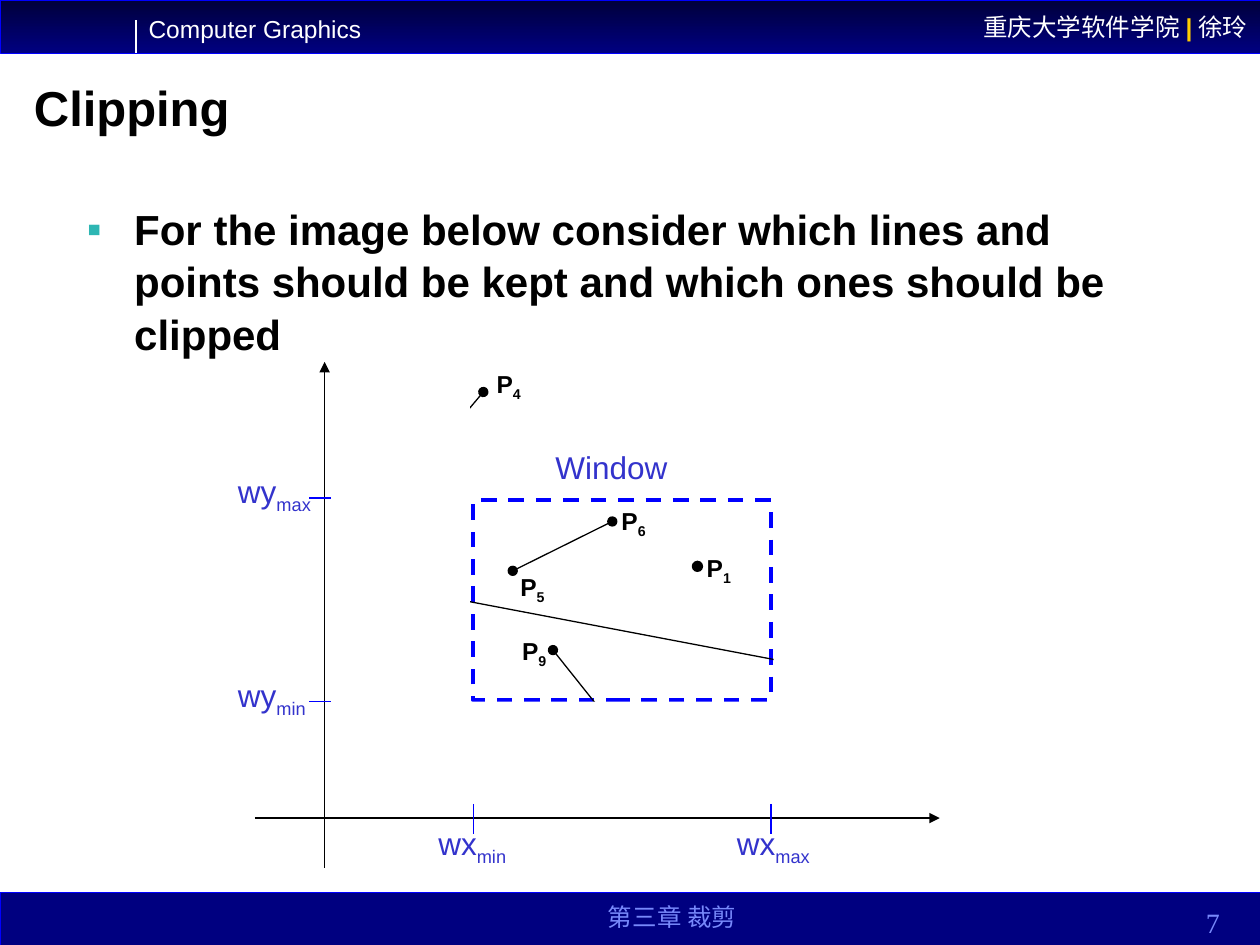
from dataclasses import dataclass
from typing import Any, NamedTuple, Optional

from lxml.etree import SubElement
from pptx import Presentation
from pptx.dml.color import RGBColor
from pptx.enum.dml import MSO_LINE as Dash
from pptx.enum.shapes import MSO_CONNECTOR as Connector, MSO_SHAPE as Preset
from pptx.enum.text import MSO_ANCHOR as Anchor, MSO_AUTO_SIZE as AutoSize, PP_ALIGN as Align
from pptx.oxml.ns import qn
from pptx.util import Pt


@dataclass(frozen=True)
class Theme:
    black: str = "000000"
    white: str = "FFFFFF"
    blue: str = "0000FF"
    navy: str = "000080"
    midnight: str = "00003B"
    gold: str = "FFCC00"
    label: str = "3333CC"
    footer: str = "7889FB"
    bullet: str = "2DB6B3"
    sans: str = "Arial"
    serif: str = "Times New Roman"
    title_size: float = 28
    body_size: float = 24
    label_size: float = 18
    number_size: float = 16
    small_size: float = 14
    thin: float = 0.75


THEME = Theme()


class Box(NamedTuple):
    left: float
    top: float
    width: float
    height: float


class Segment(NamedTuple):
    start: tuple[float, float]
    end: tuple[float, float]
    color: str = THEME.black
    head: Optional[str] = None
    tail: Optional[str] = None


class TextRun(NamedTuple):
    text: str
    size: float
    color: str
    bold: bool = False
    subscript: bool = False
    font: str = THEME.sans


class Label(NamedTuple):
    box: Box
    runs: list[TextRun]
    frame_format: dict[str, Any] = {"word_wrap": False}
    align: Align = Align.LEFT


def apply_format(target: Any, values: dict[str, Any]) -> None:
    for name, value in values.items():
        setattr(target, name, value)


def place(shape: Any, box: Box) -> None:
    apply_format(shape, {name: Pt(value) for name, value in box._asdict().items()})


def write_runs(paragraph: Any, runs: list[TextRun]) -> None:
    for item in runs:
        run = paragraph.add_run()
        run.text = item.text
        apply_format(run.font, {"name": item.font, "size": Pt(item.size), "bold": item.bold})
        run.font.color.rgb = RGBColor.from_string(item.color)
        if item.subscript:
            run._r.get_or_add_rPr().set("baseline", "-25000")


def draw_label(slide: Any, label: Label) -> None:
    shape = slide.shapes.add_textbox(*map(Pt, label.box))
    apply_format(shape.text_frame, label.frame_format)
    paragraph = shape.text_frame.paragraphs[0]
    paragraph.alignment = label.align
    write_runs(paragraph, label.runs)


def draw_shape(slide: Any, box: Box, fill: Optional[str] = None, line: Optional[str] = None,
               width: float = 0.25, preset: Preset = Preset.RECTANGLE) -> Any:
    shape = slide.shapes.add_shape(preset, *map(Pt, box))
    shape.shadow.inherit = False
    if fill:
        shape.fill.solid()
        shape.fill.fore_color.rgb = RGBColor.from_string(fill)
    else:
        shape.fill.background()
    if line:
        shape.line.color.rgb = RGBColor.from_string(line)
        shape.line.width = Pt(width)
    else:
        shape.line.fill.background()
    return shape


def draw_segment(slide: Any, segment: Segment) -> None:
    connector = slide.shapes.add_connector(
        Connector.STRAIGHT, *map(Pt, segment.start + segment.end))
    connector.line.color.rgb = RGBColor.from_string(segment.color)
    connector.line.width = Pt(THEME.thin)
    properties = connector._element.spPr
    outline = properties.find(qn("a:ln"))
    for tag, kind in (("a:headEnd", segment.head), ("a:tailEnd", segment.tail)):
        if kind:
            SubElement(outline, qn(tag), type=kind)
    SubElement(properties, qn("a:effectLst"))


def draw_banners(slide: Any) -> None:
    header = draw_shape(slide, Box(0, 0, 720, 30.24), THEME.navy, THEME.blue)
    header.fill.gradient()
    header.fill.gradient_angle = 270
    for stop, color in zip(header.fill.gradient_stops, (THEME.midnight, THEME.navy)):
        stop.color.rgb = RGBColor.from_string(color)
    header.text_frame.vertical_anchor = Anchor.MIDDLE
    paragraph = header.text_frame.paragraphs[0]
    paragraph.alignment = Align.RIGHT
    write_runs(paragraph, [
        TextRun("重庆大学软件学院", THEME.small_size, THEME.white),
        TextRun("|", THEME.small_size, THEME.gold, bold=True),
        TextRun("徐玲", THEME.small_size, THEME.white)])
    draw_shape(slide, Box(0, 509.76, 720, 30.24), THEME.navy, THEME.blue)
    draw_label(slide, Label(Box(77.8, 4.3, 136, 24.5),
                            [TextRun("Computer Graphics", THEME.small_size, THEME.white)]))
    draw_segment(slide, Segment((77.8, 11.5), (77.8, 30.24), THEME.white))
    bottom = {"word_wrap": True, "vertical_anchor": Anchor.BOTTOM}
    draw_label(slide, Label(
        Box(270, 508.3, 228.2, 27.4),
        [TextRun("第三章 裁剪", THEME.small_size, THEME.footer, font=THEME.serif)],
        bottom, Align.CENTER))
    draw_label(slide, Label(
        Box(632.2, 512.6, 72, 27.4),
        [TextRun("7", THEME.number_size, THEME.footer, font=THEME.serif)],
        bottom, Align.RIGHT))


def fill_placeholders(slide: Any) -> None:
    title, body = slide.placeholders
    place(title, Box(12.2, 43.2, 649.4, 38.9))
    place(body, Box(42.5, 111.6, 640.8, 100))
    for shape, anchor, spacing in ((title, Anchor.BOTTOM, 0.9), (body, Anchor.TOP, 1.04)):
        apply_format(shape.text_frame, {"word_wrap": True, "auto_size": AutoSize.NONE,
                                        "vertical_anchor": anchor})
        apply_format(shape.text_frame.paragraphs[0],
                     {"alignment": Align.LEFT, "line_spacing": spacing, "space_before": Pt(0)})
    write_runs(title.text_frame.paragraphs[0],
               [TextRun("Clipping", THEME.title_size, THEME.black, bold=True)])
    paragraph = body.text_frame.paragraphs[0]
    properties = paragraph._p.get_or_add_pPr()
    apply_format(properties, {"marL": Pt(34.3), "indent": Pt(-25.5)})
    color = SubElement(properties, qn("a:buClr"))
    SubElement(color, qn("a:srgbClr"), val=THEME.bullet)
    SubElement(properties, qn("a:buFont"), typeface=THEME.sans)
    SubElement(properties, qn("a:buChar"), char="▪")
    write_runs(paragraph, [TextRun(
        "For the image below consider which lines and points should be kept "
        "and which ones should be clipped", THEME.body_size, THEME.black, bold=True)])


def draw_diagram(slide: Any) -> None:
    for start, end in (((145.7, 467.5), (537, 467.5)), ((185.5, 496), (185.5, 206.8))):
        draw_segment(slide, Segment(start, end, tail="triangle"))
    window = draw_shape(slide, Box(270.2, 286, 170.4, 114), line=THEME.blue, width=2.25)
    window.line.dash_style = Dash.DASH
    for y in (284.6, 401):
        draw_segment(slide, Segment((189, y), (176.4, y), THEME.blue))
    for x in (270.6, 440.6):
        draw_segment(slide, Segment((x, 459.4), (x, 476.6), THEME.blue))

    for axis, limit, left, top in (("wy", "max", 128.9, 266.4), ("wy", "min", 128.9, 383),
                                   ("wx", "min", 243.4, 467.3), ("wx", "max", 414, 467.3)):
        width = 56.2 if limit == "max" else 53.3
        draw_label(slide, Label(Box(left, top, width, 31.7), [
            TextRun(axis, THEME.label_size, THEME.label),
            TextRun(limit, THEME.label_size, THEME.label, subscript=True)]))
    draw_label(slide, Label(Box(310.3, 252.7, 78.5, 28.8),
                            [TextRun("Window", THEME.label_size, THEME.label)]))

    draw_shape(slide, Box(395.3, 320.4, 6.5, 6.5), THEME.black, preset=Preset.OVAL)
    for start, end in (((293, 326.2), (349.9, 298)), ((213.8, 298), (276.2, 224)),
                       ((316, 371.5), (361.4, 428.4)), ((236.2, 337.7), (474.5, 383))):
        draw_segment(slide, Segment(start, end, head="oval", tail="oval"))
    for number, left, top in (("1", 396.7, 312.5), ("6", 348, 285.4), ("5", 290.2, 323.3),
                              ("9", 291.2, 360), ("4", 276.7, 207.4)):
        draw_label(slide, Label(Box(left, top, 28.1, 26.6), [
            TextRun("P", THEME.small_size, THEME.black, bold=True),
            TextRun(number, THEME.small_size, THEME.black, bold=True, subscript=True)]))

    for mask in (Box(265, 401, 187.2, 49.7), Box(189.4, 226, 79.2, 218.2),
                 Box(442, 222.5, 111.6, 218.9)):
        draw_shape(slide, mask, THEME.white)


def main() -> None:
    presentation = Presentation()
    apply_format(presentation, {"slide_width": Pt(720), "slide_height": Pt(540)})
    slide = presentation.slides.add_slide(presentation.slide_layouts[1])
    draw_banners(slide)
    fill_placeholders(slide)
    draw_diagram(slide)
    presentation.save("out.pptx")


if __name__ == "__main__":
    main()
